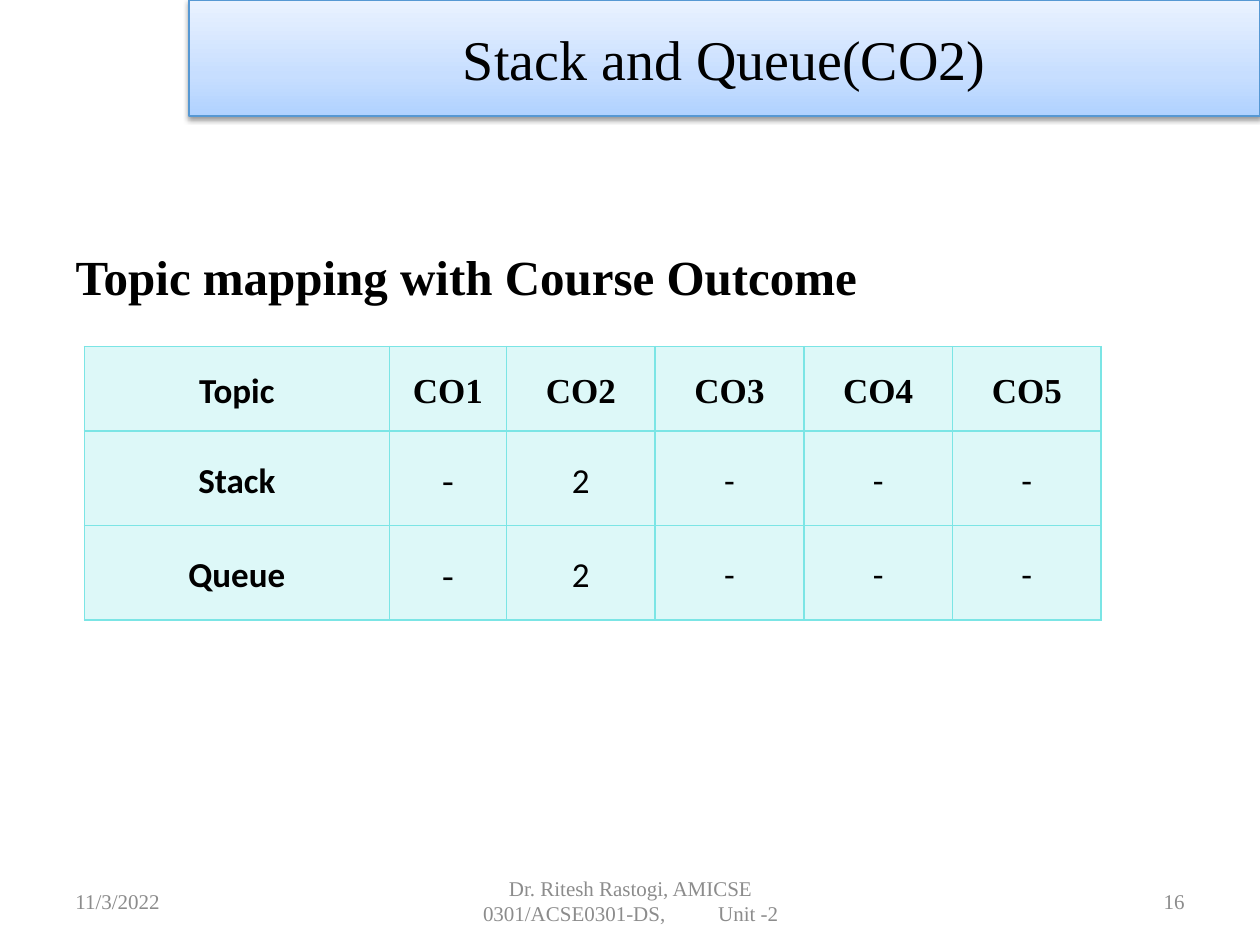
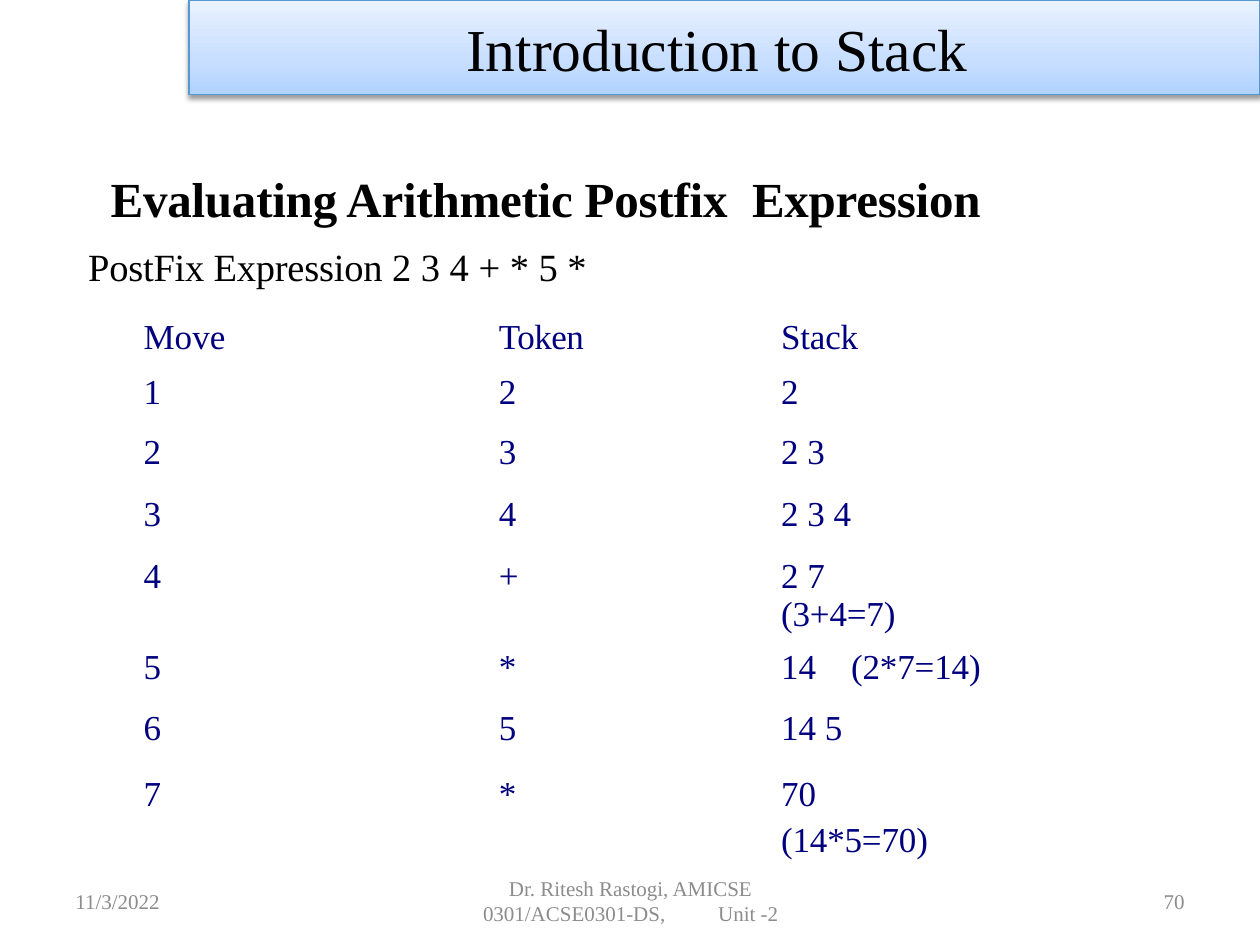
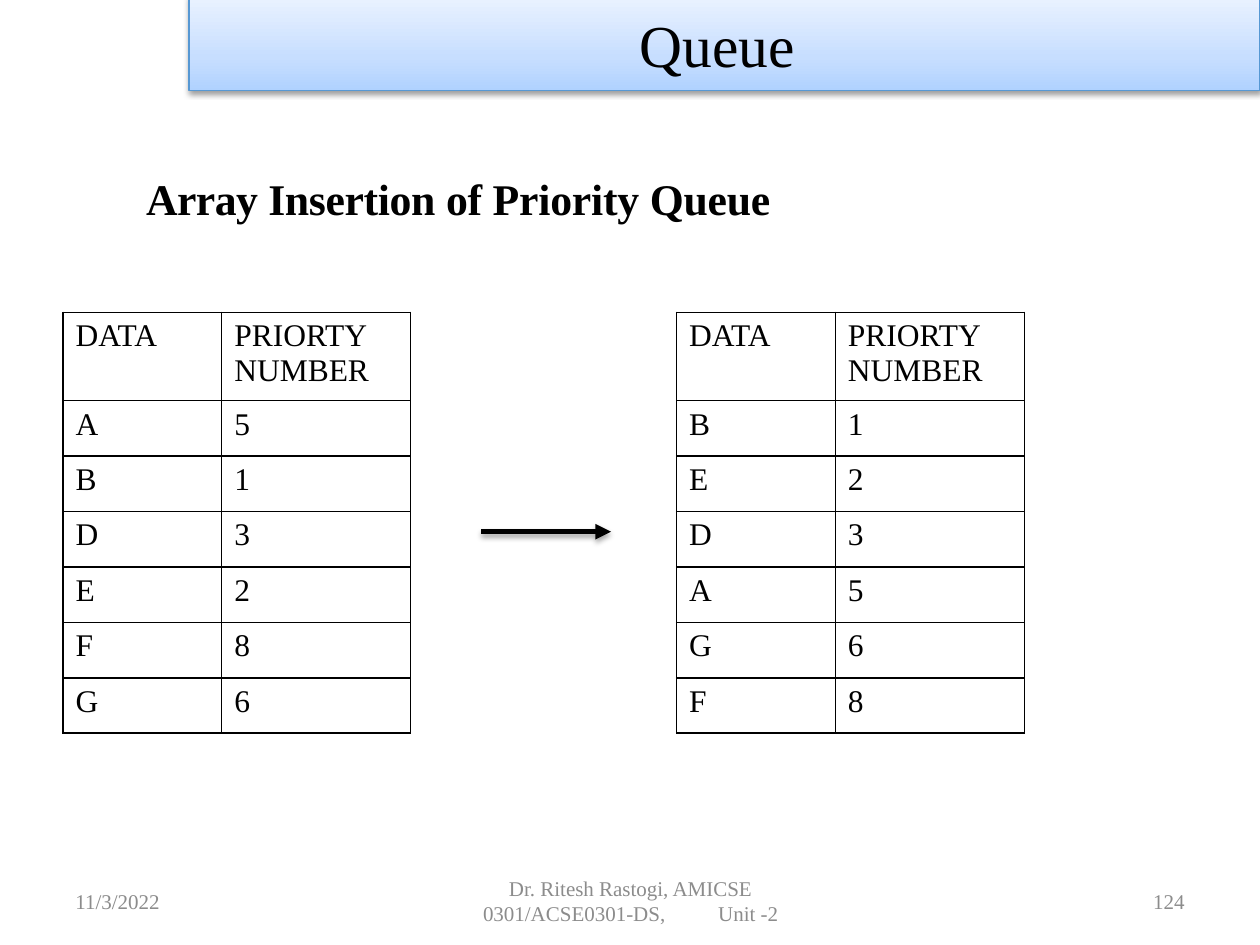
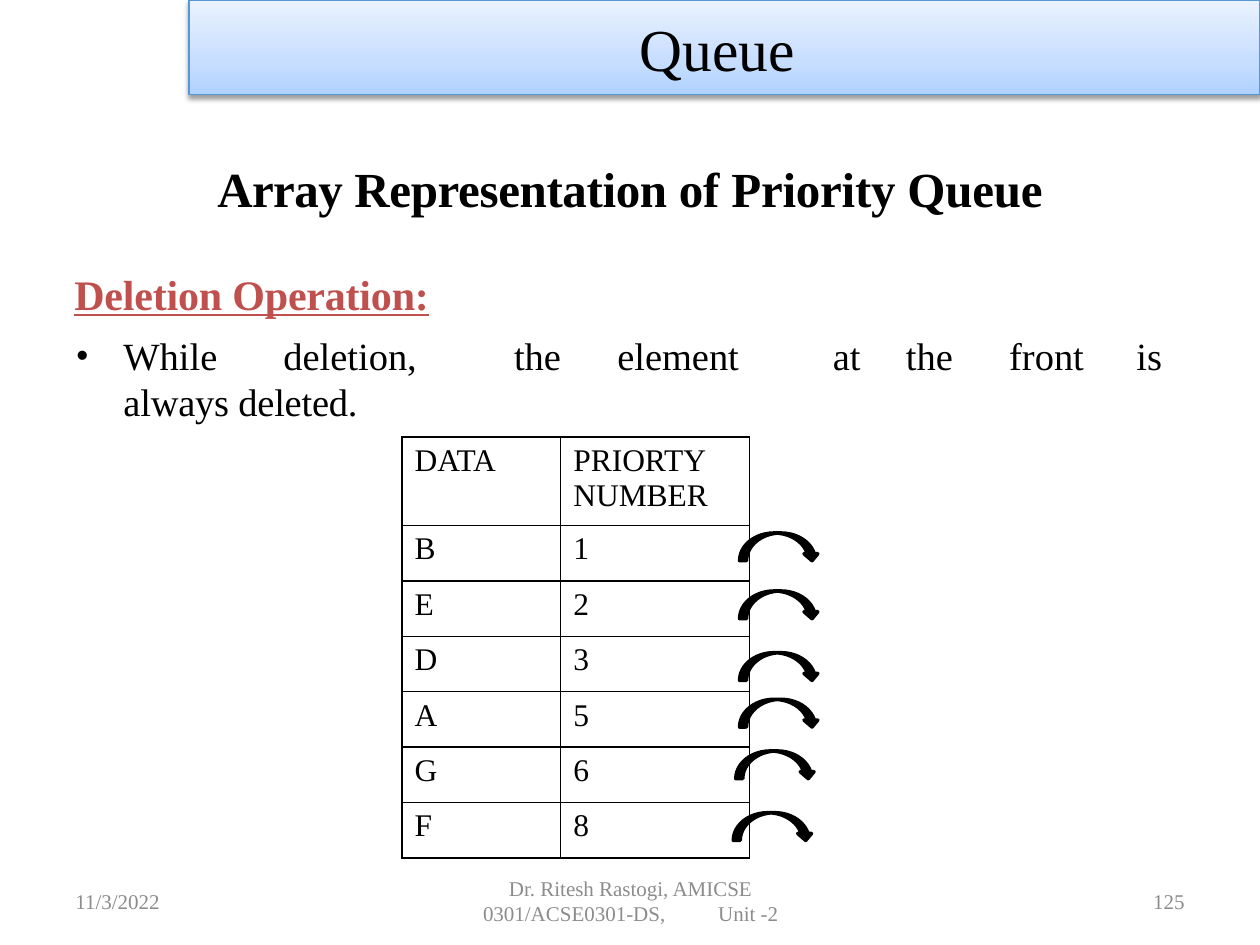
from lxml import etree
from copy import deepcopy
from pptx import Presentation
from pptx import util as u
from pptx.dml import color as dml
from pptx.enum import shapes, text
from pptx.oxml import ns

COLORS = {
    "text": "000000",
    "footer": "8C8C8C",
    "navy": "00007F",
    "red": "C0504D",
    "aqua": "7BE5E5",
    "band_line": "5698D3",
    "band_low": "B0D2FF",
    "band_mid": "C7DEFF",
    "band_high": "EAF2FF",
}
RGB = {name: dml.RGBColor.from_string(value) for name, value in COLORS.items()}
SERIF, SANS = "Times New Roman", "Calibri"
LEFT, CENTER, RIGHT = text.PP_ALIGN.LEFT, text.PP_ALIGN.CENTER, text.PP_ALIGN.RIGHT
TOP, MIDDLE = text.MSO_ANCHOR.TOP, text.MSO_ANCHOR.MIDDLE


def write(frame, content, size, font=SERIF, color="text", bold=False, underline=False,
          align=LEFT, leading=None, before=None, after=None, add=False):
    paragraph = frame.add_paragraph() if add else frame.paragraphs[0]
    paragraph.alignment = align
    if leading:
        paragraph.line_spacing = leading
    if before is not None:
        paragraph.space_before = u.Pt(before)
    if after is not None:
        paragraph.space_after = u.Pt(after)
    for words, tracking in [(content, 0)] if isinstance(content, str) else content:
        if words == "\n":
            paragraph.add_line_break()
            continue
        run = paragraph.add_run()
        run.text = words
        run.font.name = font
        run.font.size = u.Pt(size)
        run.font.bold = bold
        run.font.underline = underline
        run.font.color.rgb = RGB[color]
        if tracking:
            run._r.get_or_add_rPr().set("spc", str(round(tracking * 100)))
    return paragraph


def cast_shadow(shape, opacity, distance):
    effects = etree.SubElement(shape._element.spPr, ns.qn("a:effectLst"))
    outer = etree.SubElement(effects, ns.qn("a:outerShdw"), blurRad=str(u.Pt(3.1)),
                             dist=str(u.Pt(distance)), dir="5400000", rotWithShape="0")
    black = etree.SubElement(outer, ns.qn("a:srgbClr"), val=COLORS["text"])
    etree.SubElement(black, ns.qn("a:alpha"), val=str(opacity * 1000))


prs = Presentation()
prs.slide_width, prs.slide_height = u.Inches(10), u.Inches(7.5)

pages = [
    {"topic": "Stack and Queue(CO2)", "topic_size": 32, "band": (0, 0.92), "number": "16",
     "heading": "Topic mapping with Course Outcome", "at": (0.5, 1.9, 9, 0.58),
     "format": {"size": 28}},
    {"topic": "Introduction to Stack ", "topic_size": 34, "band": (0, 0.75), "number": "70",
     "heading": [("Evaluating Arithmetic Postfix", -0.1), (" ", 7), ("Expression", -0.1)],
     "at": (0.25, 1.15, 8.16, 0.63), "insets": (0, 0.07),
     "format": {"size": 28, "align": CENTER, "leading": u.Pt(44)}},
    {"topic": "Queue ", "topic_size": 34, "band": (-0.03, 0.75), "number": "124",
     "heading": [("Array ", -0.3), ("Insertion ", -0.2), ("of Priority Queue", -0.1)],
     "at": (1.06, 1.31, 7.87, 0.52), "format": {"size": 25}},
    {"topic": "Queue ", "topic_size": 34, "band": (0, 0.75), "number": "125",
     "heading": [("Array ", -0.3), ("Representation ", -0.2), ("of Priority Queue", -0.1)],
     "at": (0.5, 1.25, 9, 0.48), "insets": (0, 0.01),
     "format": {"size": 28, "align": CENTER}},
]
course = [("Dr. Ritesh Rastogi, AMICSE 0301/ACSE0301-DS,", 0), (" ", 27), ("Unit -2", 0)]

slides = []
for page in pages:
    slide = prs.slides.add_slide(prs.slide_layouts[5])
    slides.append(slide)

    heading = slide.shapes.title
    heading.left, heading.top, heading.width, heading.height = map(u.Inches, page["at"])
    frame = heading.text_frame
    frame.auto_size = text.MSO_AUTO_SIZE.NONE
    frame.word_wrap = True
    frame.vertical_anchor = MIDDLE
    if "insets" in page:
        side, top = page["insets"]
        frame.margin_left = frame.margin_right = u.Inches(side)
        frame.margin_top, frame.margin_bottom = u.Inches(top), 0
    write(frame, page["heading"], bold=True, **page["format"])

    band_top, band_height = page["band"]
    band = slide.shapes.add_shape(shapes.MSO_SHAPE.RECTANGLE, u.Inches(1.5), u.Inches(band_top),
                                  u.Inches(8.5), u.Inches(band_height))
    band.fill.gradient()
    band.fill.gradient_angle = 90
    stop_list = next(band._element.iter(ns.qn("a:gsLst")))
    stop_list.append(deepcopy(stop_list[0]))
    tints = [(0, "band_low"), (0.35, "band_mid"), (1, "band_high")]
    for stop, (position, tint) in zip(band.fill.gradient_stops, tints):
        stop.position = position
        stop.color.rgb = RGB[tint]
    band.line.color.rgb = RGB["band_line"]
    band.line.width = u.Pt(0.75)
    cast_shadow(band, 38, 1.6)
    band.text_frame.word_wrap = True
    band.text_frame.vertical_anchor = MIDDLE
    write(band.text_frame, page["topic"], page["topic_size"], align=CENTER)

    for words, left, width, align in [("11/3/2022", 0.5, 2.33, LEFT),
                                      (course, 3.42, 3.17, CENTER),
                                      (page["number"], 7.17, 2.33, RIGHT)]:
        footer = slide.shapes.add_textbox(u.Inches(left), u.Inches(6.95),
                                          u.Inches(width), u.Inches(0.4)).text_frame
        footer.word_wrap = True
        footer.vertical_anchor = MIDDLE
        write(footer, words, 12, color="footer", align=align)

mapping_slide, postfix_slide, insertion_slide, deletion_slide = slides

expression = postfix_slide.shapes.add_textbox(u.Inches(0.7), u.Inches(1.92),
                                              u.Inches(4.3), u.Inches(0.38)).text_frame
expression.word_wrap = True
expression.margin_left = expression.margin_right = expression.margin_bottom = 0
expression.margin_top = u.Inches(0.01)
write(expression, [("PostFix Expression ", -0.1), ("2 3 4 + * 5 *", 0)], 22)

deletion = deletion_slide.shapes.add_textbox(u.Inches(0.59), u.Inches(2.01),
                                             u.Inches(8.83), u.Inches(1.38)).text_frame
deletion.word_wrap = True
deletion.margin_left = deletion.margin_right = deletion.margin_bottom = 0
deletion.margin_top = u.Inches(0.12)
write(deletion, [("Deletion Operation:", -0.1)], 24, color="red", bold=True, underline=True)
rule = write(deletion,
             [("While\tdeletion,\tthe\telement\tat\tthe\tfront\tis ", 0), ("always deleted.", -0.1)],
             22, before=7.7, add=True)
rule_format = rule._p.get_or_add_pPr()
rule_format.set("marL", str(u.Inches(0.39)))
rule_format.set("indent", str(u.Inches(-0.38)))
etree.SubElement(rule_format, ns.qn("a:buFont"), typeface=SERIF)
etree.SubElement(rule_format, ns.qn("a:buChar"), char="•")
tab_list = etree.SubElement(rule_format, ns.qn("a:tabLst"))
for tab in (0.39, 1.66, 3.49, 4.31, 6.02, 6.6, 7.42, 8.43):
    etree.SubElement(tab_list, ns.qn("a:tab"), pos=str(u.Inches(tab)), algn="l")

outcomes = [["Topic", "CO1", "CO2", "CO3", "CO4", "CO5"],
            ["Stack", "-", "2", "-", "-", "-"],
            ["Queue", "-", "2", "-", "-", "-"]]
moves = [["Move", [("Token", -0.3)], [("Stack", -0.1)]],
         ["1", "2", "2"],
         ["2", "3", "2 3"],
         ["3", "4", "2 3 4"],
         ["4", "+", [("2 7", 0), ("\n", 0), ("(3+4=7)", -0.1)]],
         ["5", "*", [("14", 0), (" ", 15), ("(2*7=14)", -0.1)]],
         ["6", "5", "14 5"],
         ["7", "*", [("70", 0), ("\n", 0), ("(14*5=70)", -0.1)]]]
queue_header = ["DATA", "PRIORTY NUMBER"]
arrivals = [queue_header, *zip("ABDEFG", "513286")]
by_priority = [queue_header, *zip("BEDAGF", "123568")]
queue_columns, queue_rows = [1.26, 1.5], [0.7] + [0.44] * 6

tables = [
    ("outcomes", mapping_slide, 0.67, 2.75, outcomes, [2.42, 0.93] + [1.18] * 4, [0.67, 0.75, 0.75]),
    ("moves", postfix_slide, 1.11, 2.5, moves, [1.71, 2.51, 2.51],
     [0.4, 0.48, 0.49, 0.49, 0.72, 0.48, 0.48, 0.8]),
    ("queue", insertion_slide, 0.5, 2.48, arrivals, queue_columns, queue_rows),
    ("queue", insertion_slide, 5.37, 2.48, by_priority, queue_columns, queue_rows),
    ("queue", deletion_slide, 3.19, 3.47, by_priority, queue_columns, queue_rows),
]
borders = {"outcomes": "aqua", "queue": "text"}

for topic, slide, left, top, entries, widths, heights in tables:
    grid = slide.shapes.add_table(len(heights), len(widths), u.Inches(left), u.Inches(top),
                                  u.Inches(sum(widths)), u.Inches(sum(heights))).table
    grid.first_row = grid.horz_banding = False
    for column, width in zip(grid.columns, widths):
        column.width = u.Inches(width)
    for row, height in zip(grid.rows, heights):
        row.height = u.Inches(height)
    for r, entry in enumerate(entries):
        for c, words in enumerate(entry):
            cell = grid.cell(r, c)
            if topic in borders:
                for side in ("lnL", "lnR", "lnT", "lnB"):
                    edge = etree.SubElement(cell._tc.get_or_add_tcPr(), ns.qn("a:" + side),
                                            w=str(u.Pt(1)))
                    ink = etree.SubElement(edge, ns.qn("a:solidFill"))
                    etree.SubElement(ink, ns.qn("a:srgbClr"), val=COLORS[borders[topic]])
            if topic == "outcomes":
                cell.fill.solid()
                cell.fill.fore_color.rgb = RGB["aqua"]
                tint = cell._tc.tcPr.find(ns.qn("a:solidFill"))[0]
                etree.SubElement(tint, ns.qn("a:alpha"), val="25000")
                cell.vertical_anchor = MIDDLE
                cell.margin_left = cell.margin_right = u.Inches(0.07)
                cell.margin_top = cell.margin_bottom = 0
                serif = c == 1 or (r == 0 and c > 0)
                write(cell.text_frame, words, 20, font=SERIF if serif else SANS,
                      bold=r == 0 or c == 0, align=CENTER, leading=1.15,
                      after=10 if r and c else None)
                continue
            cell.fill.background()
            if topic == "moves":
                cell.margin_left = u.Inches((0.03, 1.14, 0.87)[c])
                cell.margin_top = u.Inches(0.06 if r else 0)
                cell.margin_right = cell.margin_bottom = 0
                leading = {0: u.Pt(24), 7: u.Pt(25.8)}.get(r)
                write(cell.text_frame, words, 20, color="navy", leading=leading)
            else:
                write(cell.text_frame, words, 18)

sorting = insertion_slide.shapes.add_connector(shapes.MSO_CONNECTOR.STRAIGHT, u.Inches(3.82),
                                               u.Inches(4.22), u.Inches(4.85), u.Inches(4.22))
sorting.line.color.rgb = RGB["text"]
sorting.line.width = u.Pt(3)
etree.SubElement(sorting.line._get_or_add_ln(), ns.qn("a:tailEnd"), type="triangle")
cast_shadow(sorting, 35, 1.8)

for left, top in zip([5.87] * 4 + [5.84, 5.82], [4.23, 4.69, 5.18, 5.55, 5.96, 6.45]):
    removal = deletion_slide.shapes.add_shape(shapes.MSO_SHAPE.CURVED_DOWN_ARROW, u.Inches(left),
                                              u.Inches(top), u.Inches(0.63), u.Inches(0.22))
    removal.shadow.inherit = False
    removal.fill.solid()
    removal.fill.fore_color.rgb = RGB["text"]
    removal.line.color.rgb = RGB["text"]
    removal.line.width = u.Pt(2)

prs.save("out.pptx")
